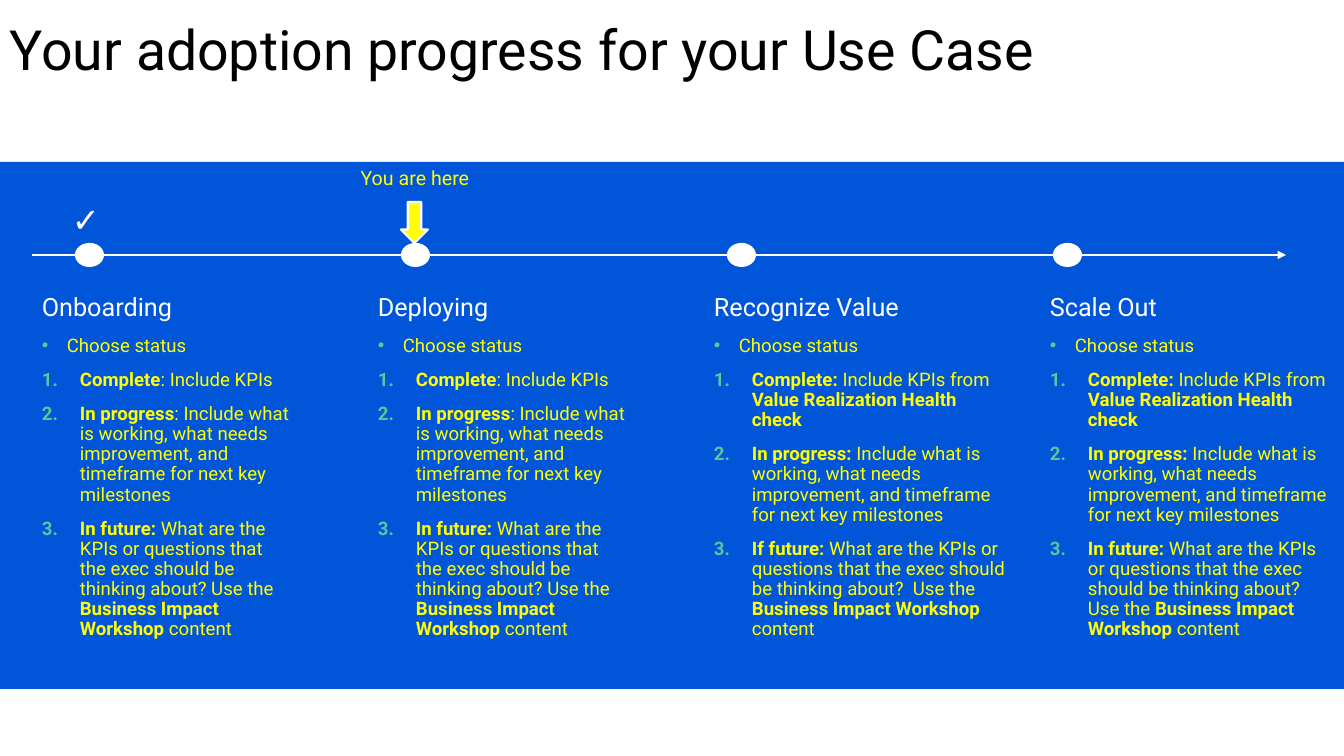
"""Build the use case adoption progress slide."""
from lxml.etree import SubElement
from pptx import Presentation
from pptx.dml.color import RGBColor
from pptx.enum.shapes import MSO_CONNECTOR, MSO_SHAPE
from pptx.enum.text import MSO_ANCHOR, MSO_AUTO_SIZE, PP_ALIGN
from pptx.oxml.ns import qn
from pptx.util import Emu, Pt

BLUE = RGBColor(0x00, 0x55, 0xD9)
GREEN = RGBColor(0x61, 0xC2, 0x9F)
YELLOW = RGBColor(0xFF, 0xFF, 0x00)
WHITE = RGBColor(0xFF, 0xFF, 0xFF)
BLACK = RGBColor(0x00, 0x00, 0x00)
PX = 914400 / 100.8

INCLUDE = "nclude what is working, what needs improvement, and timeframe for next key milestones"
ASK = "What are the KPIs or questions that the exec should be thinking about?"
EARLY_STEPS = [
    ["Complete", ": Include KPIs"],
    ["In progress", ": I" + INCLUDE],
    ["In future: ", ASK + " Use the ", "Business Impact Workshop ", "content"],
]
COMPLETE = ["Complete: ", "Include KPIs from ", "Value Realization Health check"]
IN_PROGRESS = ["In progress: ", "I" + INCLUDE]
LATE_FUTURE = [ASK + "  Use the ", "Business Impact Workshop", " content"]
STAGES = [
    ("Onboarding", 270, EARLY_STEPS),
    ("Deploying", 270, EARLY_STEPS),
    ("Recognize Value", 314, [COMPLETE, IN_PROGRESS, ["If future: "] + LATE_FUTURE]),
    ("Scale Out", 303, [COMPLETE, IN_PROGRESS, ["In future: "] + LATE_FUTURE]),
]


def px(*lengths):
    return [Emu(round(length * PX)) for length in lengths]


def add_span(para, text, size, color, bold=False):
    span = para.add_run()
    span.text = text
    span.font.name = "Roboto"
    span.font.size = Pt(size)
    span.font.bold = bold
    span.font.color.rgb = color


deck = Presentation()
deck.slide_width, deck.slide_height = px(1344, 756)
page = deck.slides.add_slide(deck.slide_layouts[6])
shapes = page.shapes

band = shapes.add_shape(MSO_SHAPE.RECTANGLE, *px(0, 162, 1344, 527))
band.shadow.inherit = False
band.fill.solid()
band.fill.fore_color.rgb = BLUE
band.line.fill.background()

title = shapes.add_textbox(*px(0, -7, 1128, 118)).text_frame
title.word_wrap = True
title.vertical_anchor = MSO_ANCHOR.MIDDLE
title.paragraphs[0].line_spacing = 0.9
add_span(title.paragraphs[0], "Your adoption progress for your Use Case", 39.6, BLACK)

for column, (name, width, steps) in enumerate(STAGES):
    box = shapes.add_textbox(*px(32 + 336 * column, 290, width, 478)).text_frame
    box.word_wrap = True
    add_span(box.paragraphs[0], name, 18, WHITE)
    add_span(box.add_paragraph(), "Choose status", 13.3, YELLOW)
    for step in steps:
        para = box.add_paragraph()
        for position, text in enumerate(step):
            add_span(para, text, 13.3, YELLOW, bold=position % 2 == 0)

    for row, para in enumerate(box.paragraphs):
        para.line_spacing = 0.9
        para.space_before = Pt(10)
        if row == 0:
            continue
        indent = px(25 if row == 1 else 38)[0]
        properties = para._p.get_or_add_pPr()
        properties.set("marL", str(indent))
        properties.set("indent", str(-indent))
        bullet_color = SubElement(properties, qn("a:buClr"))
        SubElement(bullet_color, qn("a:srgbClr"), val=str(GREEN))
        if row == 1:
            SubElement(properties, qn("a:buFont"), typeface="Arial")
            SubElement(properties, qn("a:buChar"), char="•")
        else:
            SubElement(properties, qn("a:buFont"), typeface="+mj-lt")
            SubElement(properties, qn("a:buAutoNum"), type="arabicPeriod")

timeline = shapes.add_connector(MSO_CONNECTOR.STRAIGHT, *px(32, 255, 1286, 255))
timeline.line.color.rgb = WHITE
timeline.line.width = Pt(1.5)
SubElement(timeline.line._get_or_add_ln(), qn("a:tailEnd"), type="triangle")
SubElement(timeline._element.spPr, qn("a:effectLst"))

markers = [(MSO_SHAPE.OVAL, 76 + 326 * stage, 244, 22, WHITE) for stage in range(len(STAGES))]
markers.append((MSO_SHAPE.DOWN_ARROW, 401, 202, 41, YELLOW))
for kind, left, top, height, color in markers:
    marker = shapes.add_shape(kind, *px(left, top, 27, height))
    marker.shadow.inherit = False
    marker.fill.solid()
    marker.fill.fore_color.rgb = color
    marker.line.color.rgb = WHITE
    marker.line.width = Pt(1.5)

LABELS = [
    ("You are here", (349, 161, 132, 34), 14, YELLOW, False, PP_ALIGN.CENTER),
    ("✓", (62, 194, 51, 50), 24, WHITE, True, PP_ALIGN.LEFT),
]
for text, place, size, color, bold, align in LABELS:
    label = shapes.add_textbox(*px(*place)).text_frame
    label.word_wrap = False
    label.auto_size = MSO_AUTO_SIZE.SHAPE_TO_FIT_TEXT
    label.paragraphs[0].alignment = align
    add_span(label.paragraphs[0], text, size, color, bold)

deck.save("out.pptx")
